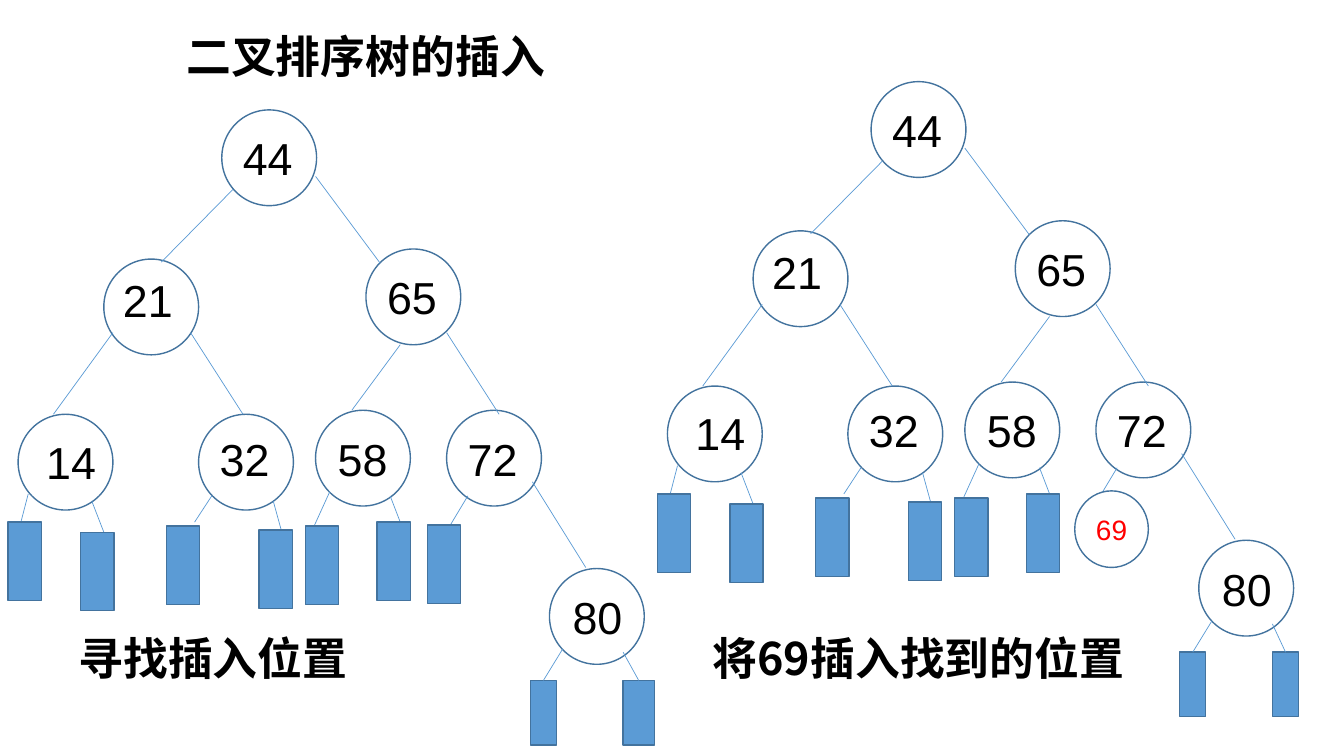
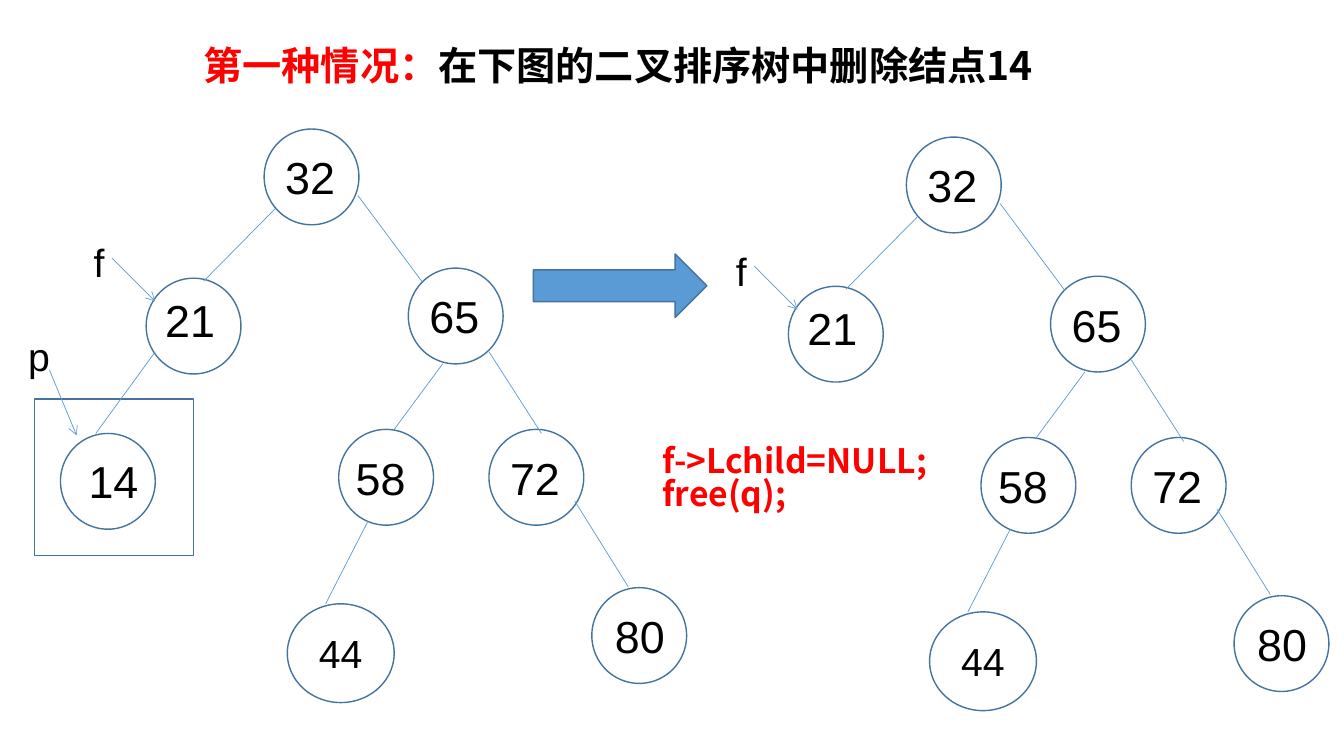
from lxml import etree
from pptx import Presentation
from pptx.dml.color import RGBColor
from pptx.enum.shapes import MSO_CONNECTOR, MSO_SHAPE
from pptx.enum.text import MSO_ANCHOR, MSO_AUTO_SIZE, PP_ALIGN
from pptx.oxml.ns import qn
from pptx.util import Inches, Pt

CIRCLE = MSO_SHAPE.OVAL
RECTANGLE = MSO_SHAPE.RECTANGLE
RIGHT_ARROW = MSO_SHAPE.RIGHT_ARROW
STRAIGHT = MSO_CONNECTOR.STRAIGHT
MIDDLE = MSO_ANCHOR.MIDDLE
GROW = MSO_AUTO_SIZE.SHAPE_TO_FIT_TEXT
LEFT = PP_ALIGN.LEFT
CENTER = PP_ALIGN.CENTER
TOP_SIDE = 0

COLORS = {
    "white": "FFFFFF",
    "black": "000000",
    "red": "FF0000",
    "blue": "5B9BD5",
    "outline": "43739E",
}
FORMATS = {
    "key": {"size": Pt(32), "name": "Arial", "bold": False},
    "small_key": {"size": Pt(28), "name": "Arial", "bold": False},
    "new_key": {"size": Pt(20), "name": "Arial", "bold": False},
    "heading": {"size": Pt(32), "name": "Noto Sans CJK SC", "bold": True},
    "case": {"size": Pt(28), "name": "Noto Sans CJK SC", "bold": True},
    "code": {"size": Pt(24), "name": "Noto Sans CJK SC", "bold": True},
}
NODE_SIZE = (0.94, 0.95)
LEAF_SIZE = (0.33, 0.78)

# name: left, top, label offset x, label offset y, label width
SLOTS = {
    "root": (2.2, 1.09, 0.11, 0.16, 0.93),
    "right_left": (3.13, 4.07, 0.12, 0.16, 0.72),
    "right": (3.63, 2.47, 0.11, 0.16, 0.72),
    "left_left": (0.18, 4.11, 0.18, 0.15, 0.84),
    "right_right": (4.43, 4.07, 0.11, 0.16, 0.72),
    "left_right": (1.97, 4.11, 0.11, 0.12, 0.71),
    "left": (1.03, 2.57, 0.09, 0.09, 0.85),
    "far_right": (5.45, 5.64, 0.13, 0.16, 0.81),
    "right_left_near": (2.94, 4.07, 0.07, 0.16, 0.72),
}
BRANCHES = {
    "left": (2.31, 1.88, 1.6, 2.6),
    "left_right": (1.89, 3.3, 2.41, 4.11),
    "left_left": (1.12, 3.3, 0.53, 4.11),
    "right": (3.13, 1.75, 3.77, 2.61),
    "right_left": (3.97, 3.42, 3.49, 4.07),
    "right_left_near": (3.97, 3.42, 3.49, 4.07),
    "right_right": (4.43, 3.3, 4.95, 4.11),
    "far_right": (5.28, 4.78, 5.81, 5.63),
}


def add_item(slide, kind, box, runs=(), style="key", fill="white"):
    place = [Inches(value) for value in box]
    if kind is None:
        item = slide.shapes.add_textbox(*place)
        item.text_frame.auto_size = GROW
    else:
        item = slide.shapes.add_shape(kind, *place)
        item.shadow.inherit = False
        item.fill.solid()
        item.fill.fore_color.rgb = RGBColor.from_string(COLORS[fill])
        item.line.color.rgb = RGBColor.from_string(COLORS["outline"])
        item.line.width = Pt(1)
        item.text_frame.vertical_anchor = MIDDLE
    frame = item.text_frame
    frame.word_wrap = True
    paragraph = frame.paragraphs[0]
    for text, color in runs:
        if text == "\n":
            paragraph = frame.add_paragraph()
            continue
        paragraph.alignment = LEFT if kind is None else CENTER
        run = paragraph.add_run()
        run.text = text
        for attribute, value in FORMATS[style].items():
            setattr(run.font, attribute, value)
        run.font.color.rgb = RGBColor.from_string(COLORS[color])
        if FORMATS[style]["bold"]:
            paragraph.line_spacing = 0.83
            east_asian = etree.SubElement(run.font._element, qn("a:ea"))
            east_asian.set("typeface", FORMATS[style]["name"])
    return item


def add_edge(slide, ends, dx=0, dy=0, arrow=False):
    x1, y1, x2, y2 = ends
    edge = slide.shapes.add_connector(
        STRAIGHT, Inches(x1 + dx), Inches(y1 + dy), Inches(x2 + dx), Inches(y2 + dy)
    )
    edge.line.color.rgb = RGBColor.from_string(COLORS["blue"])
    edge.line.width = Pt(0.5)
    properties = edge._element.spPr
    if arrow:
        etree.SubElement(properties.find(qn("a:ln")), qn("a:tailEnd")).set("type", "arrow")
    etree.SubElement(properties, qn("a:effectLst"))
    return edge


deck = Presentation()
deck.slide_width = Inches(13.33)
deck.slide_height = Inches(7.5)
blank = deck.slide_layouts[6]
insertion = deck.slides.add_slide(blank)
deletion = deck.slides.add_slide(blank)

add_item(deletion, RECTANGLE, (0.34, 3.96, 1.58, 1.55))

insertion_keys = {
    "root": "44", "left": "21", "left_left": "14", "left_right": "32",
    "right": "65", "right_left": "58", "right_right": "72", "far_right": "80",
}
remaining_keys = {
    "root": "32", "left": "21", "right": "65",
    "right_left_near": "58", "right_right": "72", "far_right": "80",
}
trees = [
    (insertion, 0, 0, insertion_keys),
    (insertion, 6.44, -0.28, insertion_keys),
    (deletion, 0.42, 0.19, {**remaining_keys, "left_left": "14"}),
    (deletion, 6.79, 0.27, remaining_keys),
]
for slide, dx, dy, keys in trees:
    for slot in keys:
        x, y = SLOTS[slot][:2]
        add_item(slide, CIRCLE, (x + dx, y + dy, *NODE_SIZE))
    for slot in keys:
        if slot in BRANCHES:
            add_edge(slide, BRANCHES[slot], dx, dy)
    for slot, key in keys.items():
        x, y, label_dx, label_dy, width = SLOTS[slot]
        add_item(slide, None, (x + label_dx + dx, y + label_dy + dy, width, 0.64), [(key, "black")])

leaf_edges = [
    (0.28, 4.9, 0.21, 5.17),
    (0.91, 4.97, 1.03, 5.28),
    (2.1, 4.92, 1.93, 5.18),
    (2.71, 4.97, 2.79, 5.26),
    (3.27, 4.88, 3.12, 5.21),
    (3.87, 4.92, 3.97, 5.18),
    (4.64, 4.92, 4.46, 5.22),
]
leaves = [(0.08, 5.18), (0.8, 5.28), (1.65, 5.22), (2.57, 5.26), (3.03, 5.22), (3.74, 5.18)]
for dx, dy, last_width in [(0, 0, 0.31), (6.44, -0.28, 0.26)]:
    for ends in leaf_edges:
        add_edge(insertion, ends, dx, dy)
    for x, y in leaves:
        add_item(insertion, RECTANGLE, (x + dx, y + dy, *LEAF_SIZE), fill="blue")
    for ends, x, width in [
        ((5.58, 6.44, 5.4, 6.75), 5.26, 0.26),
        ((6.18, 6.47, 6.31, 6.75), 6.18, last_width),
    ]:
        leaf = add_item(insertion, RECTANGLE, (x + dx, 6.75 + dy, width, 0.64), fill="blue")
        add_edge(insertion, ends, dx, dy).end_connect(leaf, TOP_SIDE)

add_item(insertion, RECTANGLE, (4.24, 5.21, *LEAF_SIZE), fill="blue")
add_item(insertion, CIRCLE, (10.66, 4.87, 0.73, 0.76), [("69", "red")], "new_key")
for text, box in [
    ("二叉排序树的插入", (1.75, 0.33, 3.96, 0.64)),
    ("寻找插入位置", (0.68, 6.3, 3.19, 0.64)),
    ("将69插入找到的位置", (6.97, 6.3, 4.51, 0.64)),
]:
    add_item(insertion, None, box, [(text, "black")], "heading")

add_item(
    deletion, None, (1.92, 0.44, 9, 0.57),
    [("第一种情况：", "red"), ("在下图的二叉排序树中删除结点14", "black")], "case",
)
for dx, dy in [(0, 0), (6.37, 0.08)]:
    add_edge(deletion, (3.65, 5.17, 3.23, 5.99), dx, dy)
    add_item(deletion, CIRCLE, (2.85 + dx, 5.99 + dy, 1.06, 0.98), [("44", "black")], "small_key")
    add_edge(deletion, (1.11, 2.56, 1.54, 2.99), dx, dy, arrow=True)
    add_item(deletion, None, (0.83 + dx, 2.32 + dy, 0.42, 0.57), [("f", "black")], "small_key")
add_item(deletion, None, (0.18, 3.25, 0.42, 0.57), [("p", "black")], "small_key")
add_edge(deletion, (0.49, 3.67, 0.76, 4.32), arrow=True)
add_item(
    deletion, None, (6.47, 4.38, 2.92, 0.91),
    [("f->Lchild=NULL;", "red"), ("\n", "red"), ("free(q);", "red")], "code",
)
add_item(deletion, RIGHT_ARROW, (5.29, 2.52, 1.72, 0.63), fill="blue")

deck.save("out.pptx")
